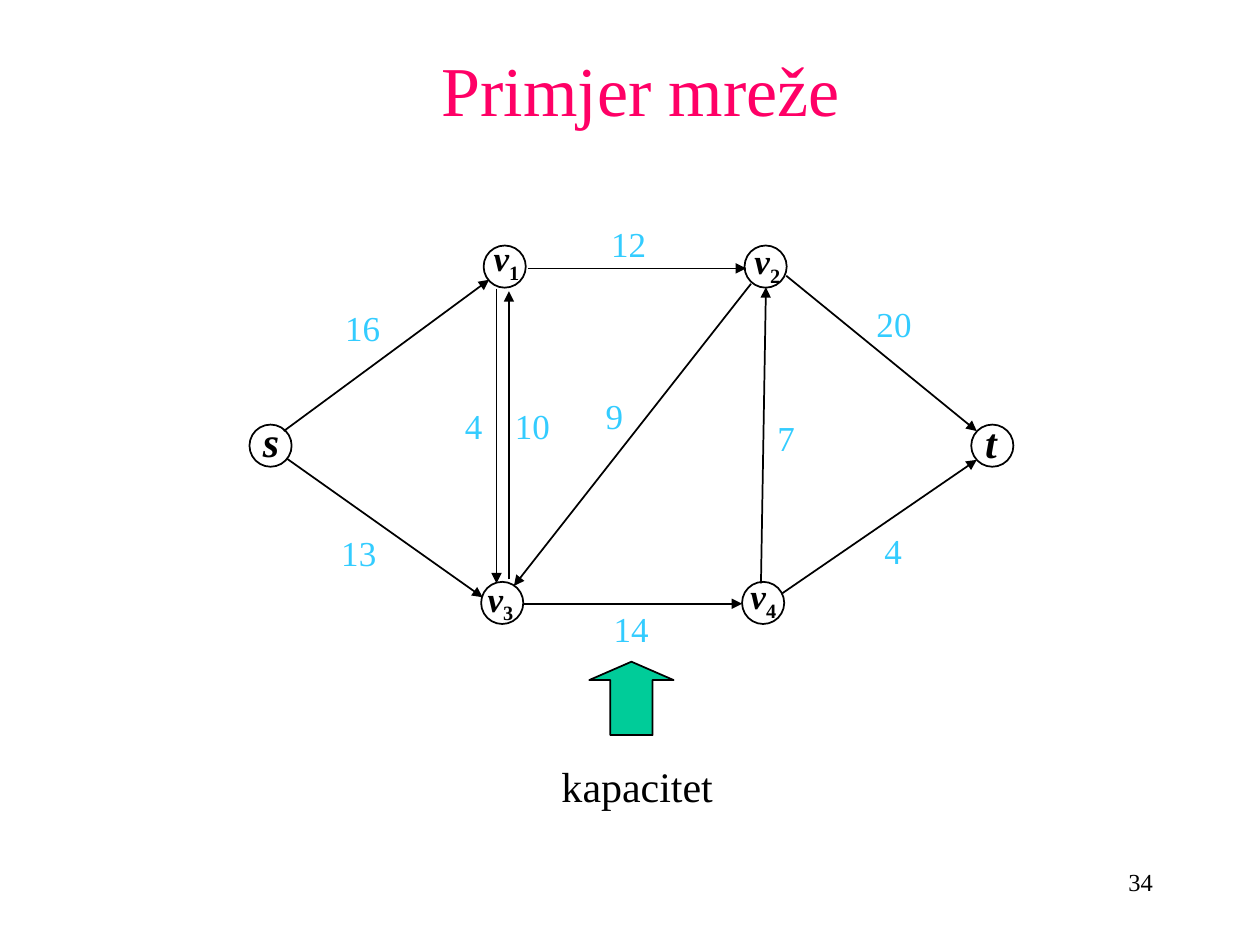
from lxml import etree
from pptx import Presentation
from pptx.dml.color import RGBColor
from pptx.enum.shapes import MSO_CONNECTOR, MSO_SHAPE
from pptx.enum.text import MSO_AUTO_SIZE, PP_ALIGN
from pptx.oxml.ns import qn
from pptx.util import Cm, Pt

OVAL, UP_ARROW = MSO_SHAPE.OVAL, MSO_SHAPE.UP_ARROW
STRAIGHT = MSO_CONNECTOR.STRAIGHT
LEFT, CENTER, RIGHT = PP_ALIGN.LEFT, PP_ALIGN.CENTER, PP_ALIGN.RIGHT
FIT = MSO_AUTO_SIZE.SHAPE_TO_FIT_TEXT
FONT = "Times New Roman"
BLACK, WHITE, PINK, CYAN, GREEN = "000000", "FFFFFF", "FF0066", "33CCFF", "00CC99"


def rgb(color):
    return RGBColor.from_string(color)


def add_text(shapes, text, x, y, w, h, size, color=BLACK, align=LEFT, wrap=False):
    tb = shapes.add_textbox(Cm(x), Cm(y), Cm(w), Cm(h))
    tf = tb.text_frame
    tf.word_wrap = wrap
    tf.auto_size = FIT
    p = tf.paragraphs[0]
    p.text = text
    p.alignment = align
    r = p.runs[0]
    r.font.name, r.font.size = FONT, Pt(size)
    r.font.color.rgb = rgb(color)
    return p


prs = Presentation()
prs.slide_width, prs.slide_height = Cm(25.4), Cm(19.05)
s = prs.slides.add_slide(prs.slide_layouts[6])

# Title
add_text(s.shapes, "Primjer mreže", 1.07, 0.81, 23.7, 1.96, 40, PINK, CENTER, True)

# Nodes: name, subscript, circle left and top, label left, top and width
nodes = [
    ("s", "", 5.03, 8.56, 5.05, 8.26, 0.84),
    ("v", "1", 9.75, 4.95, 9.7, 4.65, 1.04),
    ("v", "2", 15.01, 4.95, 14.96, 4.7, 1.04),
    ("v", "3", 9.7, 11.73, 9.58, 11.51, 1.04),
    ("v", "4", 14.96, 11.73, 14.88, 11.46, 1.04),
    ("t", "", 19.58, 8.56, 19.61, 8.28, 0.74),
]
for name, index, x, y, label_x, label_y, label_w in nodes:
    node = s.shapes.add_shape(OVAL, Cm(x), Cm(y), Cm(0.85), Cm(0.85))
    node.shadow.inherit = False
    node.fill.solid()
    node.fill.fore_color.rgb = rgb(WHITE)
    node.line.color.rgb = rgb(BLACK)
    node.line.width = Pt(1)
    size = 20 if index else 24
    p = add_text(s.shapes, name, label_x, label_y, label_w, 1.25, size)
    p.runs[0].font.bold = p.runs[0].font.italic = True
    if index:
        r = p.add_run()
        r.text = index
        r.font.name, r.font.size, r.font.bold = FONT, Pt(size), True
        r.font.color.rgb = rgb(BLACK)
        r.font._element.set("baseline", "-25000")

# Edges: start, end, capacity, capacity label position
edges = [
    (5.72, 8.69, 9.86, 5.64, "16", 6.71, 6.05),       # s to v1
    (5.79, 9.25, 9.73, 12.04, "13", 6.63, 10.59),     # s to v3
    (10.64, 5.41, 15.04, 5.41, "12", 12.07, 4.37),    # v1 to v2
    (10.54, 12.17, 14.96, 12.17, "14", 12.12, 12.12),  # v3 to v4
    (15.85, 5.56, 19.69, 8.69, "20", 17.42, 5.97),    # v2 to t
    (15.77, 11.96, 19.69, 9.27, "4", 17.58, 10.54),   # v4 to t
    (15.34, 11.76, 15.44, 5.79, "7", 15.42, 8.28),    # v4 to v2
    (15.14, 5.72, 10.36, 11.81, "9", 11.96, 7.82),    # v2 to v3
    (10.01, 5.82, 10.01, 11.76, "4", 9.12, 8.03),     # v1 to v3
    (10.26, 11.68, 10.26, 5.87, "10", 10.13, 8.03),   # v3 to v1
]
capacities = s.shapes.add_group_shape()
for x1, y1, x2, y2, capacity, x, y in edges:
    edge = s.shapes.add_connector(STRAIGHT, Cm(x1), Cm(y1), Cm(x2), Cm(y2))
    edge.line.color.rgb = rgb(BLACK)
    edge.line.width = Pt(1)
    etree.SubElement(edge.line._get_or_add_ln(), qn("a:tailEnd"), type="triangle")
    etree.SubElement(edge._element.spPr, qn("a:effectLst"))
    w = 0.86 if len(capacity) == 1 else 1.22
    add_text(capacities.shapes, capacity, x, y, w, 1.09, 20, CYAN)

# Arrow and caption explaining the capacities
arrow = capacities.shapes.add_shape(UP_ARROW, Cm(11.88), Cm(13.34), Cm(1.7), Cm(1.48))
arrow.adjustments[0], arrow.adjustments[1] = 0.5, 0.25
arrow.shadow.inherit = False
arrow.fill.solid()
arrow.fill.fore_color.rgb = rgb(GREEN)
arrow.line.color.rgb = rgb(BLACK)
arrow.line.width = Pt(1)
add_text(capacities.shapes, "kapacitet", 11.07, 15.21, 5.92, 1.27, 24, wrap=True)

# Slide number
add_text(s.shapes, "34", 18.21, 17.35, 5.28, 1.27, 14, align=RIGHT, wrap=True)

prs.save("out.pptx")
